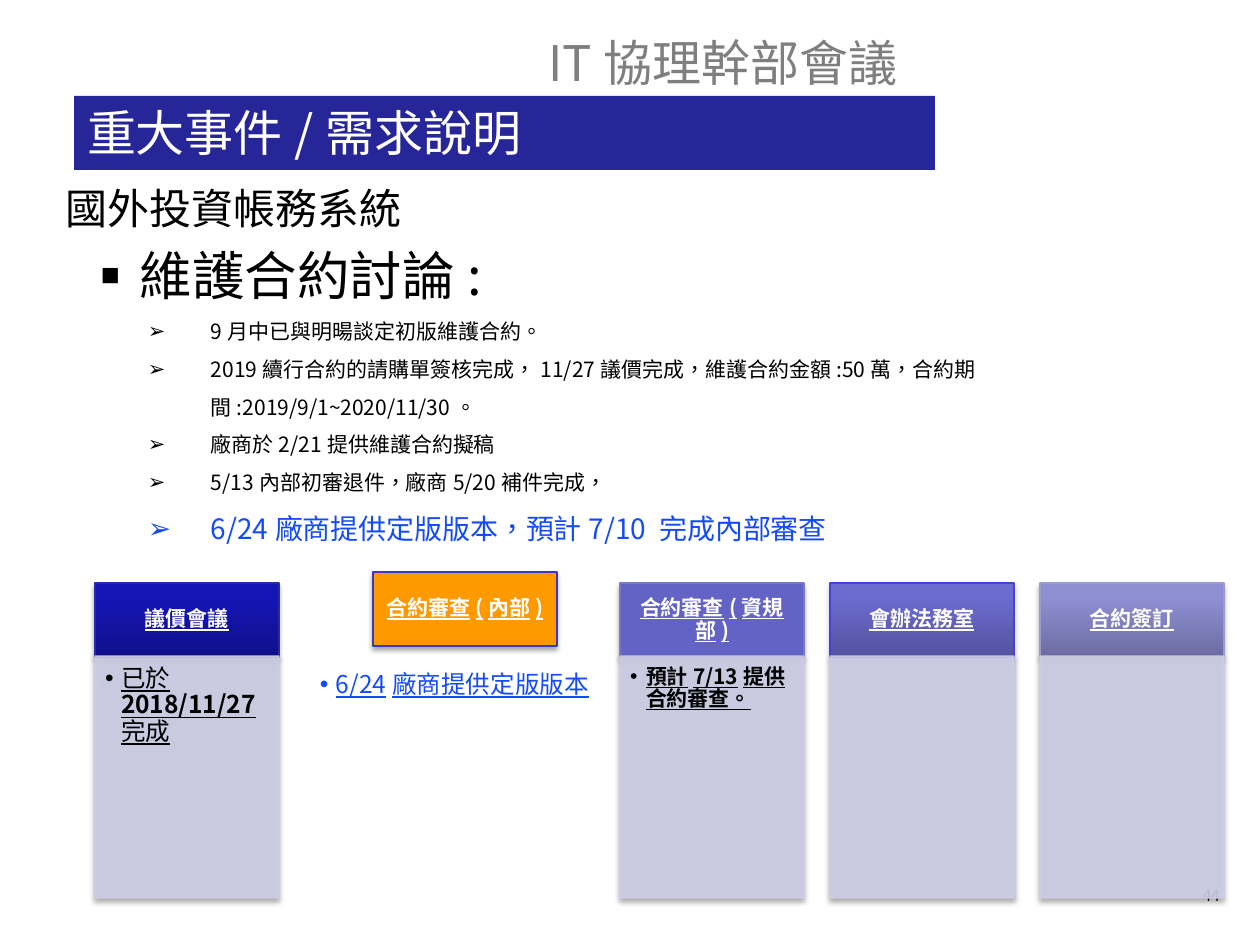
from dataclasses import dataclass

from lxml.etree import SubElement
from pptx import Presentation
from pptx.dml.color import RGBColor
from pptx.enum.shapes import MSO_SHAPE
from pptx.enum.text import MSO_ANCHOR, MSO_AUTO_SIZE, PP_ALIGN
from pptx.oxml.ns import qn
from pptx.util import Pt

EMU_PER_PX = 914400 / 126


@dataclass(frozen=True)
class Theme:
    font: str = "Noto Sans CJK SC"
    bullet_font: str = "Arial"
    navy: str = "262699"
    black: str = "000000"
    white: str = "FFFFFF"
    gray: str = "7F7F7F"
    blue: str = "134AF9"
    orange: str = "FF9900"
    violet: str = "6363C6"
    panel: str = "CDCDE6"
    title: int = 28
    topic: int = 24
    heading: int = 30
    accent: int = 16
    note: int = 14
    small: int = 12
    number: int = 9


def px(n):
    return round(n * EMU_PER_PX)


def write(p, text, size, color, bold=False, underline=False):
    r = p.add_run()
    r.text = text
    r.font.size = Pt(size)
    r.font.bold = bold
    r.font.underline = underline
    r.font.color.rgb = RGBColor.from_string(color)
    r.font.name = Theme.font
    rPr = r._r.get_or_add_rPr()
    rPr.set("lang", "zh-TW")
    SubElement(rPr, qn("a:ea"), typeface=Theme.font)


class Deck:
    """Hold the theme and the current slide, and add each kind of element."""

    def __init__(self, prs, theme):
        self.theme = theme
        self.s = prs.slides.add_slide(prs.slide_layouts[5])

    def frame(self, sp, insets=(13, 6, 13, 6), anchor=MSO_ANCHOR.TOP):
        tf = sp.text_frame
        tf.word_wrap = True
        tf.auto_size = MSO_AUTO_SIZE.NONE
        tf.vertical_anchor = anchor
        tf.margin_left, tf.margin_top, tf.margin_right, tf.margin_bottom = map(px, insets)
        return tf

    def paragraph(self, tf, runs, align=PP_ALIGN.LEFT, spacing=1.0, before=0, left=0, hang=0,
                  bullet=None, bullet_size=100):
        p = tf.paragraphs[0]
        if p.runs:
            p = tf.add_paragraph()
        p.alignment = align
        p.line_spacing = spacing
        p.space_before = Pt(before)
        pPr = p._p.get_or_add_pPr()
        pPr.set("marL", str(px(left)))
        pPr.set("indent", str(-px(hang)))
        if bullet:
            SubElement(pPr, qn("a:buSzPct"), val=str(bullet_size * 1000))
            SubElement(pPr, qn("a:buFont"), typeface=self.theme.bullet_font)
            SubElement(pPr, qn("a:buChar"), char=bullet)
        for text, style in runs:
            write(p, text, **style)

    def title(self, text, x, y, w, h):
        sp = self.s.shapes.title
        sp.left, sp.top, sp.width, sp.height = map(px, (x, y, w, h))
        sp.fill.solid()
        sp.fill.fore_color.rgb = RGBColor.from_string(self.theme.navy)
        self.paragraph(self.frame(sp), [(text, dict(size=self.theme.title, color=self.theme.white))])

    def textbox(self, x, y, w, h, **layout):
        return self.frame(self.s.shapes.add_textbox(*map(px, (x, y, w, h))), **layout)

    def label(self, text, x, y, w, h, align, **style):
        self.paragraph(self.textbox(x, y, w, h), [(text, style)], align=align)

    def box(self, x, y, w, h, fill, line, shadow, opacity=100):
        sp = self.s.shapes.add_shape(MSO_SHAPE.RECTANGLE, *map(px, (x, y, w, h)))
        if isinstance(fill, tuple):
            sp.fill.gradient()
            sp.fill.gradient_angle = 90
            for stop, color, position in zip(sp.fill.gradient_stops, fill, (0, 0.8)):
                stop.color.rgb = RGBColor.from_string(color)
                stop.position = position
        else:
            sp.fill.solid()
            sp.fill.fore_color.rgb = RGBColor.from_string(fill)
        sp.line.color.rgb = RGBColor.from_string(line)
        sp.line.width = Pt(0.75)
        sp.shadow.inherit = False
        spPr = sp._element.spPr
        if opacity < 100:
            for color in list(spPr.iter(qn("a:srgbClr"))):
                SubElement(color, qn("a:alpha"), val=str(opacity * 1000))
        outer = SubElement(spPr.find(qn("a:effectLst")), qn("a:outerShdw"), blurRad=str(Pt(3.1)),
                           dist=str(Pt(1.8)), dir="5400000", rotWithShape="0")
        color = SubElement(outer, qn("a:srgbClr"), val=shadow)
        SubElement(color, qn("a:alpha"), val="35000")
        return sp

    def header(self, text, x, y, fill, line, shadow):
        tf = self.frame(self.box(x, y, 184, 74, fill, line, shadow), (11, 6, 11, 6), MSO_ANCHOR.MIDDLE)
        style = dict(size=self.theme.small, color=self.theme.white, bold=True, underline=True)
        self.paragraph(tf, [(text, style)], align=PP_ALIGN.CENTER, spacing=0.9)

    def panel(self, x, y):
        color = self.theme.panel
        sp = self.box(x, y, 184, 242, color, color, self.theme.black, opacity=90)
        return self.frame(sp, (10, 10, 13, 15))

    def card_note(self, tf, runs):
        self.paragraph(tf, runs, spacing=0.9, left=16, hang=16, bullet="•")


def main():
    prs = Presentation()
    prs.slide_width, prs.slide_height = px(1260), px(945)
    t = Theme()
    deck = Deck(prs, t)

    deck.label("44", 1147, 880, 86, 32, PP_ALIGN.RIGHT, size=t.number, color=t.black)
    deck.label("IT協理幹部會議", 292, 27, 861, 74, PP_ALIGN.CENTER, size=t.title, color=t.gray)
    deck.title("重大事件/需求說明", 74, 96, 861, 74)

    body = deck.textbox(25, 176, 1221, 735)
    deck.paragraph(body, [("國外投資帳務系統", dict(size=t.topic, color=t.black))], left=28)
    deck.paragraph(body, [("維護合約討論:", dict(size=t.heading, color=t.black))],
                   before=6, left=102, hang=39, bullet="■", bullet_size=60)
    plain = dict(size=t.small, color=t.black)
    for text, style in [
        ("9月中已與明暘談定初版維護合約。", plain),
        ("2019續行合約的請購單簽核完成，11/27議價完成，維護合約金額:50萬，合約期間:2019/9/1~2020/11/30。", plain),
        ("廠商於2/21提供維護合約擬稿", plain),
        ("5/13內部初審退件，廠商5/20補件完成，", plain),
        ("6/24廠商提供定版版本，預計7/10 完成內部審查", dict(size=t.accent, color=t.blue)),
    ]:
        deck.paragraph(body, [(text, style)], spacing=1.5, left=173, hang=63, bullet="➢")

    note = dict(size=t.note, color=t.black, underline=True)
    strong = dict(note, bold=True)
    top, panel_top, first_review, pitch = 583, 656, 620, 210
    cards = [
        ("議價會議", 95, ("10108C", "1515B5"), "2929A8", t.black,
         [("已於", note), ("2018/11/27", strong), ("完成", note)]),
        ("合約審查(資規部)", first_review, t.violet, "7979CB", t.black,
         [("預計7/13提供合約審查。", dict(strong, size=t.small))]),
        ("會辦法務室", first_review + pitch, ("5353A0", "6B6BD0"), "4242D3", t.violet, []),
        ("合約簽訂", first_review + 2 * pitch, ("6D6DA2", "8E8ED3"), "9B9BD1", t.black, []),
    ]
    for text, x, fill, line, shadow, runs in cards:
        deck.header(text, x, top, fill, line, shadow)
        tf = deck.panel(x, panel_top)
        if runs:
            deck.card_note(tf, runs)

    deck.header("合約審查(內部)", 373, 572, t.orange, "3838C0", t.black)
    current = deck.textbox(311, 663, 290, 248, insets=(9, 9, 11, 13))
    deck.card_note(current, [("6/24廠商提供定版版本", dict(note, color=t.blue))])

    prs.save("out.pptx")


if __name__ == "__main__":
    main()
